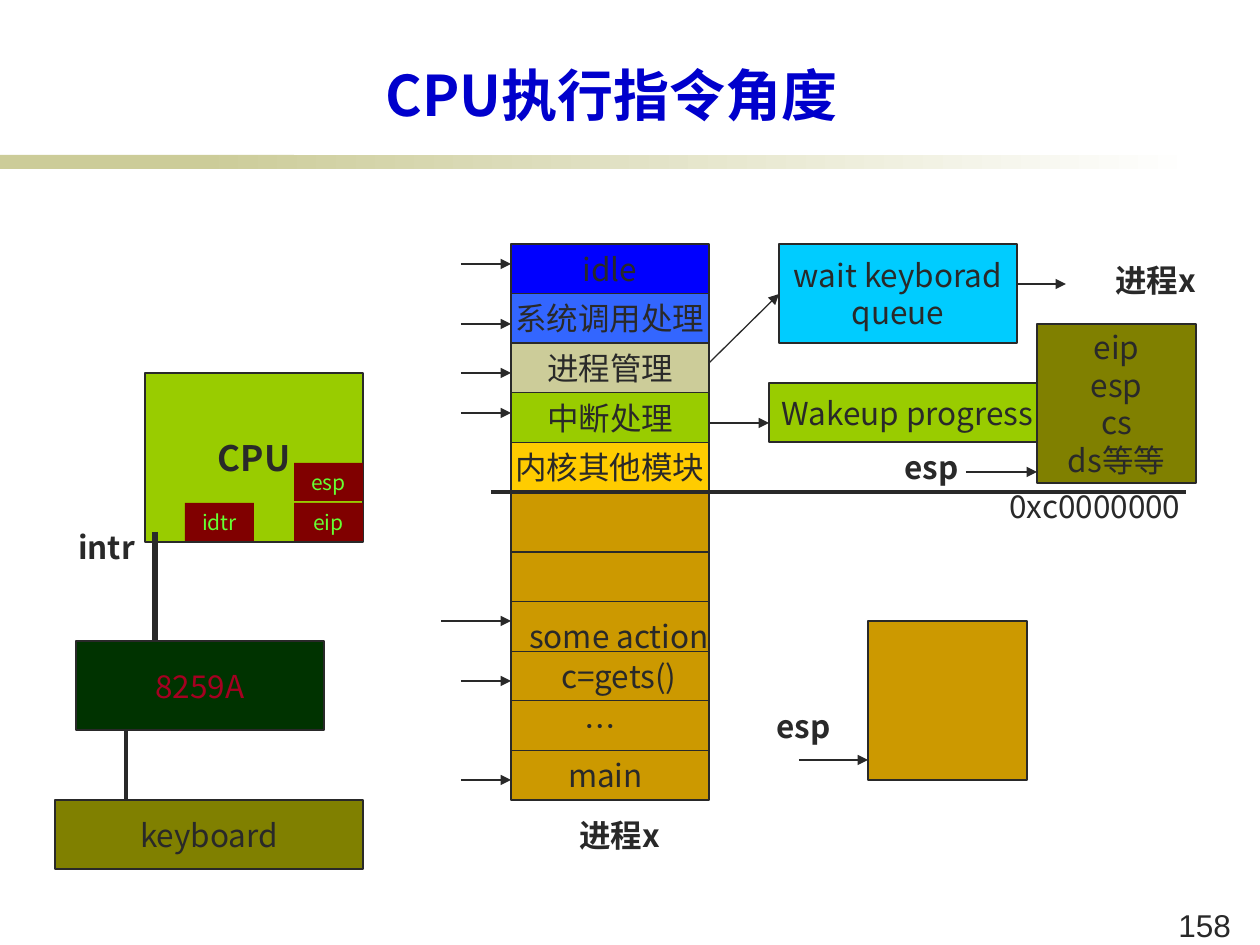
import pptx
import pptx.util
import pptx.dml.color
import pptx.enum.shapes
import pptx.enum.text
import pptx.oxml.ns
from dataclasses import dataclass
from lxml import etree

SCALE = 914400 / 126  # EMU in one px
ALIGN = pptx.enum.text.PP_ALIGN
ANCHOR = pptx.enum.text.MSO_ANCHOR
RECT = pptx.enum.shapes.MSO_SHAPE.RECTANGLE
qn = pptx.oxml.ns.qn


@dataclass(frozen=True)
class Theme:
    font: str = "Noto Sans CJK JP"
    plain: str = "Arial"
    ink: str = "292929"
    title: str = "0000CC"
    sand: str = "CCCC99"
    white: str = "FFFFFF"
    green: str = "99CC00"
    olive: str = "808000"
    gold: str = "CC9900"
    amber: str = "FFCC00"
    cyan: str = "00CCFF"
    blue: str = "0000FF"
    sky: str = "3366FF"
    maroon: str = "800000"
    lime: str = "66FF33"
    pine: str = "003300"
    red: str = "A50021"
    head: int = 32
    large: int = 20
    body: int = 18
    small: int = 12
    thin: float = 0.75
    mid: float = 2.25
    thick: float = 3


T = Theme()

# Memory column: five kernel rows above the user space
LEFT, RIGHT, TOP, BASE, END = 511, 709, 244, 492, 800
ROW = (BASE - TOP) / 5
KERNEL = [("idle", T.blue), ("系统调用处理", T.sky), ("进程管理", T.sand),
          ("中断处理", T.green), ("内核其他模块", T.amber)]
USER = [("some action", 500, 611, 238), ("c=gets()", 500, 651, 238),
        ("…", 511, 701, 179), ("main", 511, 750, 189)]
STEPS = [(461, 264), (461, 324), (461, 373), (461, 413),
         (441, 621), (461, 681), (461, 780)]
LABELS = [("进程x", 520, 810, 199), ("进程x", 1056, 255, 199),
          ("intr", 50, 522, 113), ("esp", 759, 701, 89), ("esp", 887, 442, 89)]
REGS = [("eip", 294, 503), ("esp", 294, 463), ("idtr", 185, 503)]


def px(n):
    return pptx.util.Emu(round(n * SCALE))


def rgb(tone):
    return pptx.dml.color.RGBColor.from_string(tone)


def write(frame, lines, size=T.body, tone=T.ink, bold=False, face=T.font,
          align=ALIGN.CENTER):
    for i, line in enumerate(lines):
        para = frame.paragraphs[0] if i == 0 else frame.add_paragraph()
        para.alignment = align
        run = para.add_run()
        run.text = line
        font = run.font
        font.size = pptx.util.Pt(size)
        font.bold = bold
        font.name = face
        font.color.rgb = rgb(tone)
        east = etree.SubElement(run._r.get_or_add_rPr(), qn("a:ea"))
        east.set("typeface", face)


def box(slide, x, y, w, h, fill, lines=(), edge=True, wrap=False, **style):
    shape = slide.shapes.add_shape(RECT, px(x), px(y), px(w), px(h))
    shape.shadow.inherit = False
    shape.fill.solid()
    shape.fill.fore_color.rgb = rgb(fill)
    if edge:
        shape.line.color.rgb = rgb(T.ink)
        shape.line.width = pptx.util.Pt(T.thin)
    else:
        shape.line.fill.background()
    frame = shape.text_frame
    frame.word_wrap = wrap
    frame.vertical_anchor = ANCHOR.MIDDLE
    write(frame, lines, **style)
    return shape


def label(slide, text, x, y, w, h=50, **style):
    frame = slide.shapes.add_textbox(px(x), px(y), px(w), px(h)).text_frame
    frame.word_wrap = True
    write(frame, [text], **style)


def line(slide, x1, y1, x2, y2, width=T.thin, arrow=False):
    link = slide.shapes.add_connector(
        pptx.enum.shapes.MSO_CONNECTOR.STRAIGHT, px(x1), px(y1), px(x2), px(y2))
    link.line.color.rgb = rgb(T.ink)
    link.line.width = pptx.util.Pt(width)
    if arrow:
        tip = etree.SubElement(link.line._get_or_add_ln(), qn("a:tailEnd"))
        tip.set("type", "triangle")
    etree.SubElement(link._element.spPr, qn("a:effectLst"))


def header(slide):
    box(slide, 0, 155, 294, 14, T.sand, edge=False)
    fade = box(slide, 199, 155, 998, 14, T.sand, edge=False).fill
    fade.gradient()
    fade.gradient_angle = 0
    for stop, tone in zip(fade.gradient_stops, (T.sand, T.white)):
        stop.color.rgb = rgb(tone)
    title = slide.shapes.title
    title.left, title.top, title.width, title.height = map(px, (105, 55, 1014, 79))
    title.text_frame.vertical_anchor = ANCHOR.BOTTOM
    write(title.text_frame, ["CPU执行指令角度"], T.head, T.title, True)
    label(slide, "158", 1166, 900, 79, 42, face=T.plain, align=ALIGN.LEFT)


def memory(slide):
    # User space with its dividers, counted up from the bottom
    box(slide, LEFT, BASE, RIGHT - LEFT, END - BASE, T.gold)
    for i in range(1, 6):
        y = END - i * ROW
        line(slide, LEFT, y, RIGHT, y)
    for text, x, y, w in USER:
        label(slide, text, x, y, w)
    # Kernel rows
    for i, (text, fill) in enumerate(KERNEL):
        box(slide, LEFT, TOP + i * ROW, RIGHT - LEFT, ROW, fill, [text])
    for x, y in STEPS:
        line(slide, x, y, LEFT, y, arrow=True)


def device(slide):
    box(slide, 145, 373, 218, 169, T.green, ["CPU"], size=T.large, bold=True)
    for text, x, y in REGS:
        box(slide, x, y, 69, 38, T.maroon, [text], edge=False, wrap=True,
            size=T.small, tone=T.lime)
    line(slide, 155, 532, 155, 641, T.thick)
    box(slide, 76, 641, 248, 89, T.pine, ["8259A"], tone=T.red)
    line(slide, 126, 731, 126, 800, T.mid)
    box(slide, 55, 800, 308, 69, T.olive, ["keyboard"])


def queue(slide):
    line(slide, RIGHT, 363, 779, 294, arrow=True)
    box(slide, 779, 244, 238, 99, T.cyan, ["wait keyborad", "queue"])
    line(slide, 1017, 284, 1066, 284, arrow=True)
    line(slide, RIGHT, 423, 769, 423, arrow=True)
    box(slide, 769, 383, 277, 59, T.green, ["Wakeup progress"])
    # Kernel border, then the kernel and user stacks
    label(slide, "0xc0000000", 961, 481, 268)
    line(slide, 491, BASE, 1186, BASE, T.mid)
    box(slide, 1037, 324, 159, 159, T.olive, ["eip", "esp", "cs", "ds等等"])
    line(slide, 966, 472, 1037, 472, arrow=True)
    box(slide, 868, 621, 159, 159, T.gold)
    line(slide, 799, 760, 868, 760, arrow=True)


def main():
    deck = pptx.Presentation()
    deck.slide_width, deck.slide_height = px(1260), px(945)
    slide = deck.slides.add_slide(deck.slide_layouts[5])
    header(slide)
    memory(slide)
    device(slide)
    queue(slide)
    for text, x, y, w in LABELS:
        label(slide, text, x, y, w, bold=True)
    deck.save("out.pptx")


if __name__ == "__main__":
    main()
